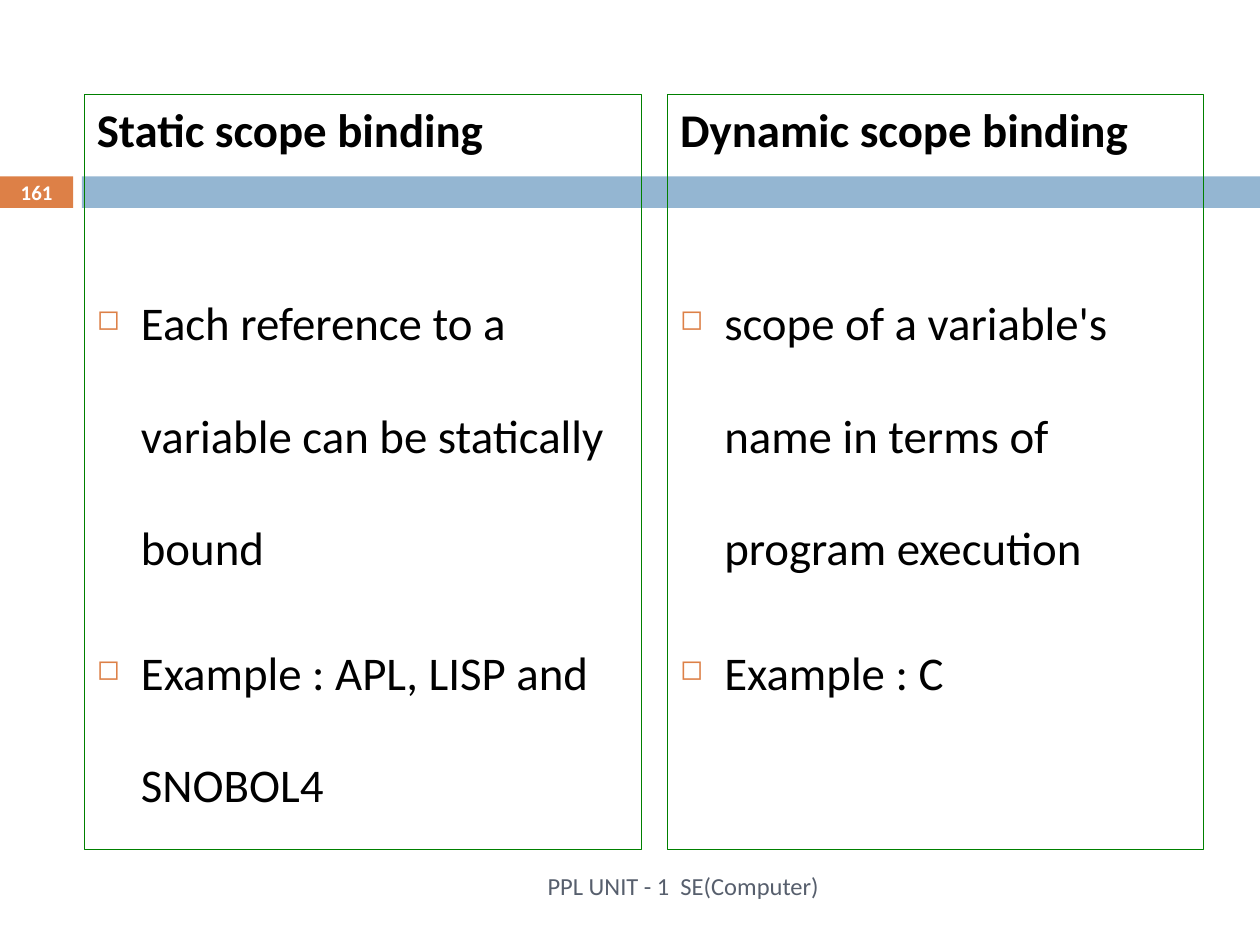
from lxml.etree import SubElement
from pptx import Presentation
from pptx.dml.color import RGBColor
from pptx.enum.shapes import MSO_SHAPE
from pptx.enum.text import MSO_ANCHOR, PP_ALIGN
from pptx.oxml.ns import qn
from pptx.util import Inches, Pt

COLORS = {
    "orange": "DD8047",
    "blue": "94B6D2",
    "green": "008000",
    "black": "000000",
    "white": "FFFFFF",
    "slate": "575F6D",
}
COLUMNS = [
    (0.67, 4.42, "Static scope binding", [
        "Each reference to a variable can be statically bound",
        "Example : APL, LISP and SNOBOL4",
    ]),
    (5.3, 4.25, "Dynamic scope binding", [
        "scope of a variable's name in terms of program execution",
        "Example : C",
    ]),
]
BODY_SIZE = 26.8


def rgb(name):
    return RGBColor.from_string(COLORS[name])


def add_rect(s, left, top, width, height, fill=None, line=None):
    sp = s.shapes.add_shape(MSO_SHAPE.RECTANGLE, Inches(left), Inches(top),
                            Inches(width), Inches(height))
    sp.shadow.inherit = False
    if fill:
        sp.fill.solid()
        sp.fill.fore_color.rgb = rgb(fill)
    else:
        sp.fill.background()
    if line:
        sp.line.color.rgb = rgb(line)
        sp.line.width = Pt(0.75)
    else:
        sp.line.fill.background()
    return sp


def add_bullet(p):
    pPr = p._p.get_or_add_pPr()
    pPr.set("marL", str(Inches(0.35)))
    pPr.set("indent", str(-Inches(0.35)))
    color = SubElement(pPr, qn("a:buClr"))
    SubElement(color, qn("a:srgbClr"), val=COLORS["orange"])
    SubElement(pPr, qn("a:buSzPct"), val="60000")
    SubElement(pPr, qn("a:buChar"), char="◻")


def write(p, text, size=BODY_SIZE, color="black", bold=False,
          align=PP_ALIGN.LEFT, before=0, spacing=None, bullet=False):
    if bullet:
        add_bullet(p)
    p.alignment = align
    p.space_before = Pt(before)
    if spacing:
        p.line_spacing = spacing
    r = p.add_run()
    r.text = text
    r.font.name = "Calibri"
    r.font.size = Pt(size)
    r.font.bold = bold
    r.font.color.rgb = rgb(color)


def add_column(s, left, width, heading, points):
    tf = add_rect(s, left, 0.75, width, 5.99, line="green").text_frame
    tf.word_wrap = True
    tf.vertical_anchor = MSO_ANCHOR.TOP
    write(tf.paragraphs[0], heading, bold=True)
    for i, point in enumerate(points):
        write(tf.add_paragraph(), point, before=7 if i else 46,
              spacing=2.0, bullet=True)


def add_label(s, left, top, width, height, text, **fmt):
    sp = s.shapes.add_textbox(Inches(left), Inches(top),
                              Inches(width), Inches(height))
    tf = sp.text_frame
    tf.word_wrap = True
    tf.vertical_anchor = MSO_ANCHOR.MIDDLE
    write(tf.paragraphs[0], text, **fmt)


def main():
    prs = Presentation()
    prs.slide_width, prs.slide_height = Inches(10), Inches(7.5)
    s = prs.slides.add_slide(prs.slide_layouts[6])
    add_rect(s, 0, 1.4, 0.58, 0.25, fill="orange")
    add_rect(s, 0.65, 1.4, 9.35, 0.25, fill="blue")
    for column in COLUMNS:
        add_column(s, *column)
    add_label(s, 0, 1.39, 0.58, 0.27, "161", size=11.9, color="white",
              bold=True, align=PP_ALIGN.CENTER)
    add_label(s, 0.67, 6.83, 5.93, 0.4, "PPL UNIT - 1  SE(Computer)",
              size=14, color="slate", align=PP_ALIGN.RIGHT)
    prs.save("out.pptx")


if __name__ == "__main__":
    main()
